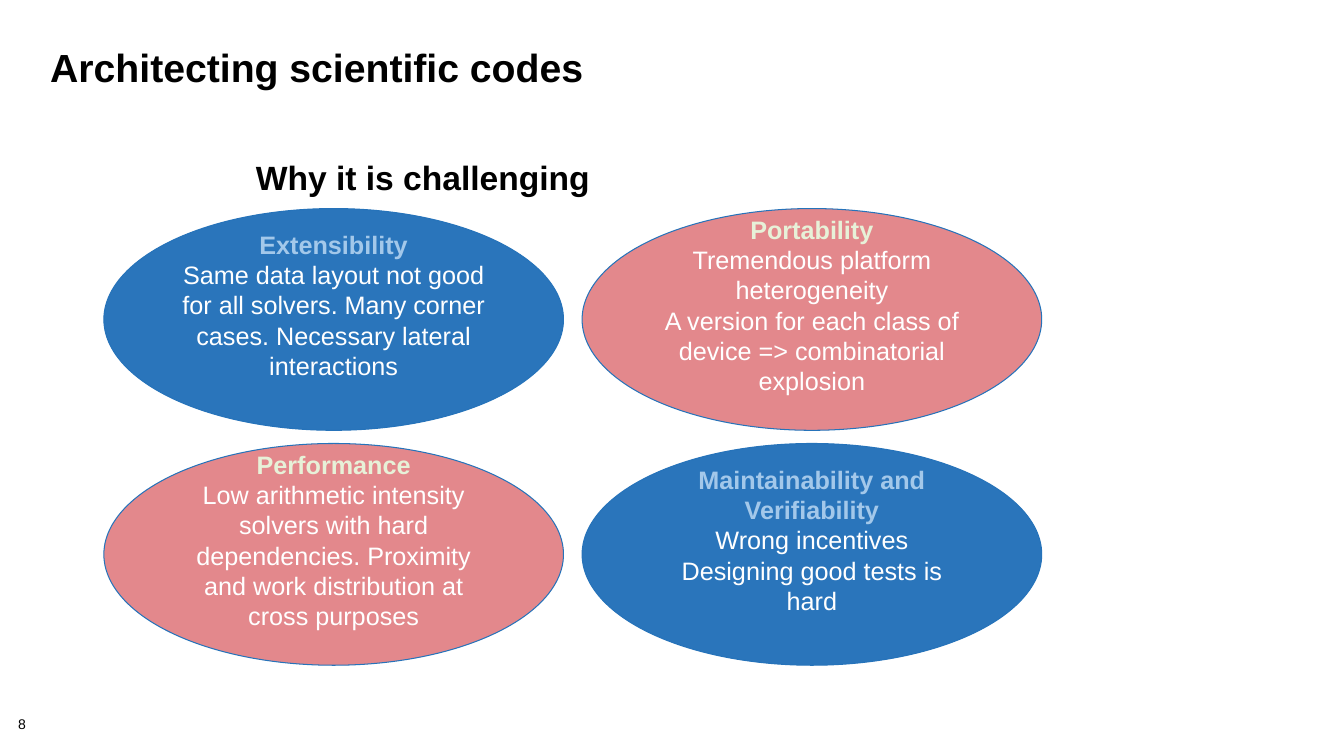
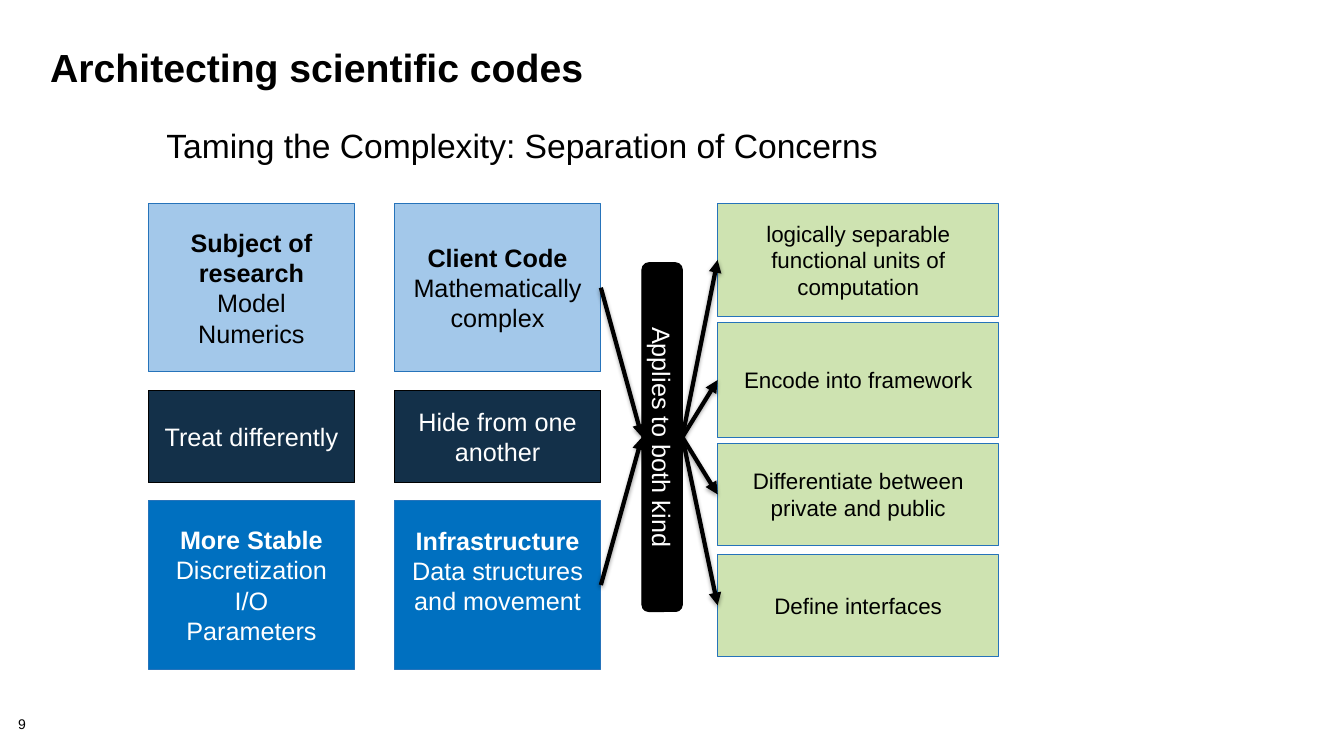
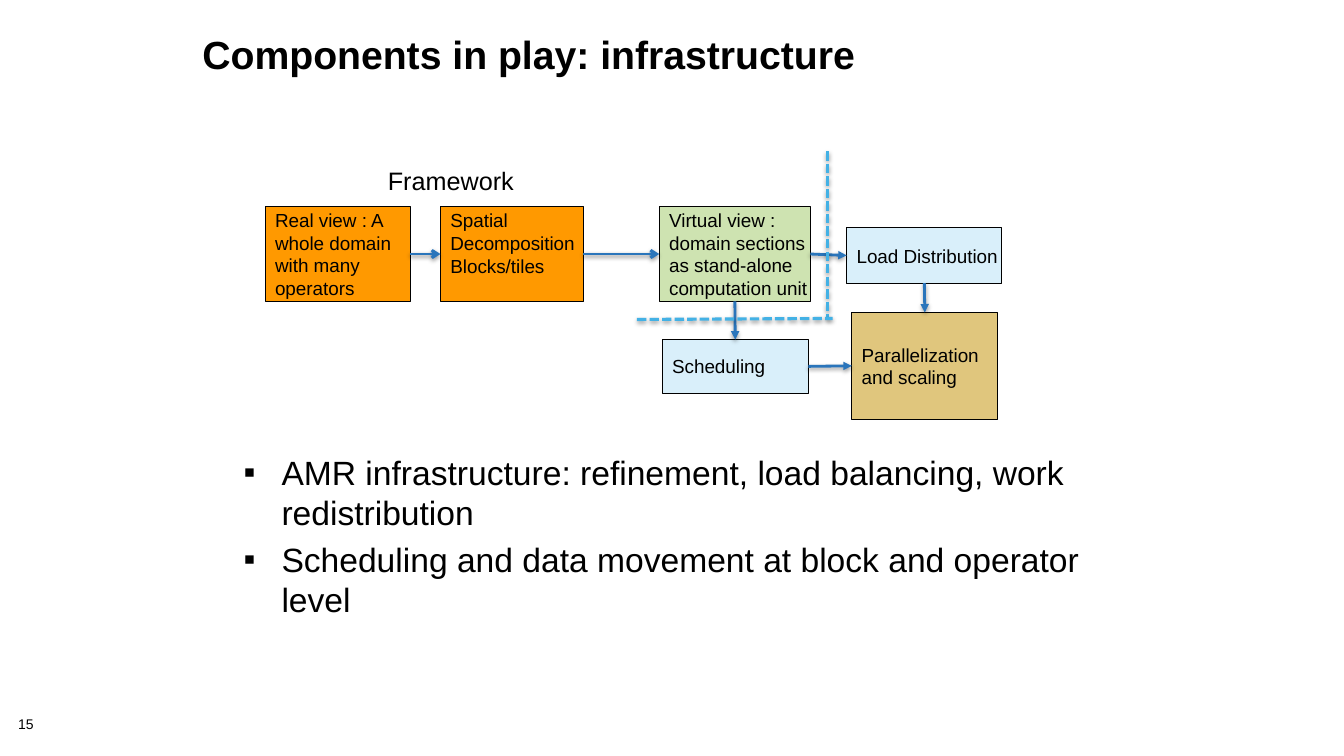
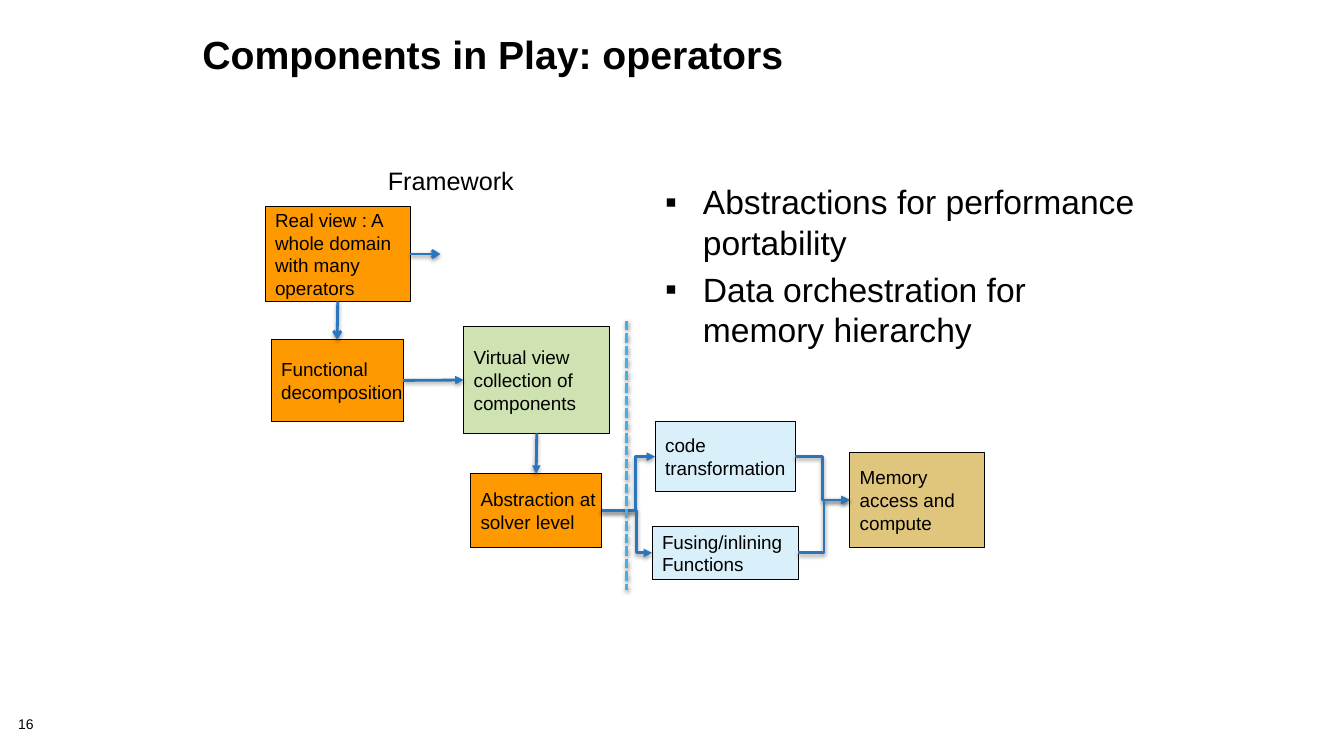
import pptx
import pptx.util
import pptx.dml.color
import pptx.enum.dml
import pptx.enum.shapes
import pptx.enum.text
import pptx.oxml
import pptx.oxml.ns
import lxml.etree

Pt = pptx.util.Pt
qn = pptx.oxml.ns.qn
KIND = pptx.enum.shapes.MSO_SHAPE
WIRE = pptx.enum.shapes.MSO_CONNECTOR
ALIGN = pptx.enum.text.PP_ALIGN
TOP, LEFT, BOTTOM, RIGHT = range(4)

FONT = "Arial"
BLACK, WHITE = "000000", "FFFFFF"
BLUE, EDGE, ROSE = "2A75BB", "2673BA", "E3888C"
SKY, LIME, DEEP, NAVY = "A3C8EA", "E7F1D8", "0070C0", "133049"
GREEN, ORANGE, PALE, SAND, DASH = "CEE3B1", "FF9900", "D9EFFA", "E0C67D", "43B1E5"

WIDE = (28.8, 32.4, 895.7, 72)
INSET = (137.5, 23, 684, 40.3)
LABEL = (270, 114.5, 105, 28.8)

OVALS = [
    ("Extensibility", ["Same data layout not good for all solvers. Many corner cases. "
                       "Necessary lateral interactions"]),
    ("Portability", ["Tremendous platform heterogeneity",
                     "A version for each class of device => combinatorial explosion"]),
    ("Performance", ["Low arithmetic intensity solvers with hard dependencies. "
                     "Proximity and work distribution at cross purposes"]),
    ("Maintainability and Verifiability", ["Wrong incentives",
                                           "Designing good tests is hard"]),
]

ROWS = [(120.2, SKY, EDGE, BLACK), (66.2, NAVY, BLACK, WHITE), (120.2, DEEP, EDGE, WHITE)]
STACKS = [
    [("Subject of research", ["Model", "Numerics"], 0),
     ("", ["Treat differently"], 0),
     ("More Stable", ["Discretization", "I/O", "Parameters"], 0)],
    [("Client Code", ["Mathematically complex"], 0),
     ("", ["Hide from one another"], 0),
     ("Infrastructure", ["Data structures and movement"], 20.7)],
]
STEPS = [
    ("logically separable functional units of computation", 145.4, 80.6),
    ("Encode into framework", 230.4, 82.1),
    ("Differentiate between private and public", 316.8, 72.7),
    ("Define interfaces", 396, 72.7),
]

REAL = (["Real view : A", "whole domain", "with many", "operators"],
        (189.4, 147.6, 103.7, 67.7), ORANGE, 0)
GRID = {
    "real": REAL,
    "tiles": (["Spatial", "Decomposition", "Blocks/tiles"],
              (314.6, 147.6, 102.2, 67.7), ORANGE, 15.5),
    "view": (["Virtual view :", "domain sections", "as stand-alone", "computation unit"],
             (470.9, 147.6, 108, 67.7), GREEN, 0),
    "load": (["Load Distribution"], (604.8, 162.7, 110.9, 39.6), PALE, 0),
    "plan": (["Scheduling"], (473, 242.6, 104.4, 38.2), PALE, 0),
    "scale": (["Parallelization", "and scaling"], (608.4, 223.2, 104.4, 76.3), SAND, 0),
}
FLOWS = [
    ("real", RIGHT, "tiles", LEFT, "arrow"),
    ("tiles", RIGHT, "view", LEFT, "arrow"),
    ("view", BOTTOM, "plan", TOP, "triangle"),
    ("view", RIGHT, "load", LEFT, "triangle"),
    ("load", BOTTOM, "scale", TOP, "triangle"),
    ("plan", RIGHT, "scale", LEFT, "triangle"),
]
CODE = {
    "real": REAL,
    "split": (["Functional", "decomposition"], (193.7, 242.6, 94.3, 58.3), ORANGE, 0),
    "view": (["Virtual view", "collection of", "components"],
             (331.2, 233.3, 104.4, 76.3), GREEN, 0),
    "solver": (["Abstraction at", "solver level"], (336.2, 338.4, 93.6, 52.6), ORANGE, 0),
    "change": (["code", "transformation"], (468, 301, 100.1, 50.4), PALE, 0),
    "fuse": (["Fusing/inlining", "Functions"], (465.8, 375.8, 104.4, 38.2), PALE, 0),
    "store": (["Memory", "access and", "compute"], (607, 323.3, 96.5, 67.7), SAND, 0),
}
PATHS = [
    ("real", BOTTOM, "split", TOP, "arrow"),
    ("split", RIGHT, "view", LEFT, "triangle"),
    ("view", BOTTOM, "solver", TOP, "triangle"),
]
BENDS = [("solver", "change", 0.63), ("solver", "fuse", 0.69),
         ("change", "store", 0.5), ("fuse", "store", 0.5)]


def tint(code):
    return pptx.dml.color.RGBColor.from_string(code)


def node(up, tag, **attrs):
    return lxml.etree.SubElement(up, qn(tag), attrs)


def write(frame, lines, size, align=ALIGN.LEFT, space=None, before=None):
    for i, (text, color, bold) in enumerate(lines):
        para = frame.paragraphs[0] if i == 0 else frame.add_paragraph()
        para.alignment = align
        if space:
            para.line_spacing = space
        if before:
            para.space_before = Pt(before)
        run = para.add_run()
        run.text = text
        run.font.name = FONT
        run.font.size = Pt(size)
        run.font.bold = bold
        run.font.color.rgb = tint(color)


def label(slide, rect, lines, size, bold=False, wrap=True, **style):
    box = slide.shapes.add_textbox(*map(Pt, rect))
    box.text_frame.word_wrap = wrap
    write(box.text_frame, [(text, BLACK, bold) for text in lines], size, **style)
    return box


def block(slide, kind, rect, fill, edge, lines, size, align=ALIGN.CENTER, wrap=True, pad=0):
    shape = slide.shapes.add_shape(kind, *map(Pt, rect))
    shape.shadow.inherit = False
    shape.fill.solid()
    shape.fill.fore_color.rgb = tint(fill)
    shape.line.color.rgb = tint(edge)
    shape.line.width = Pt(0.75)
    frame = shape.text_frame
    frame.word_wrap = wrap
    frame.vertical_anchor = pptx.enum.text.MSO_ANCHOR.MIDDLE
    frame.margin_bottom = Pt(3.6 + pad)
    write(frame, lines, size, align)
    return shape


def spot(shape, side):
    x, y, w, h = shape.left.pt, shape.top.pt, shape.width.pt, shape.height.pt
    return [(x + w / 2, y), (x, y + h / 2), (x + w / 2, y + h), (x + w, y + h / 2)][side]


def wire(slide, start, end, color, width, tail=None, kind=WIRE.STRAIGHT, dash=False):
    line = slide.shapes.add_connector(kind, *map(Pt, (*start, *end)))
    line.line.color.rgb = tint(color)
    line.line.width = Pt(width)
    if dash:
        line.line.dash_style = pptx.enum.dml.MSO_LINE.SQUARE_DOT
    props = line.element.find(qn("p:spPr"))
    if tail:
        node(props.find(qn("a:ln")), "a:tailEnd", type=tail)
    shade = node(node(props, "a:effectLst"), "a:outerShdw", blurRad=str(Pt(3.1)),
                 dist=str(Pt(1.6)), dir="5400000", rotWithShape="0")
    node(node(shade, "a:srgbClr", val=BLACK), "a:alpha", val="38000")
    return line


def link(slide, a, out, b, into, tail, color=BLUE, width=2):
    line = wire(slide, spot(a, out), spot(b, into), color, width, tail)
    line.begin_connect(a, out)
    line.end_connect(b, into)


def elbow(slide, a, b, bend):
    line = wire(slide, spot(a, RIGHT), spot(b, LEFT), BLUE, 2, "triangle", WIRE.ELBOW)
    shape = line.element.find(".//" + qn("a:prstGeom"))
    guides = shape.find(qn("a:avLst"))
    if guides is None:
        guides = node(shape, "a:avLst")
    node(guides, "a:gd", name="adj1", fmla=f"val {round(bend * 100000)}")


def bullets(slide, rect, lines):
    box = label(slide, rect, lines, 24, before=4.8)
    for props in box.element.iter(qn("a:pPr")):
        props.set("marL", str(Pt(27)))
        props.set("indent", str(Pt(-27)))
        node(props, "a:buFont", typeface=FONT)
        node(props, "a:buChar", char="▪")


def page(deck, title, rect, number):
    slide = deck.slides.add_slide(deck.slide_layouts[6])
    foot = label(slide, (13, 512.6, 40.3, 11.5), [number], 10, space=0.9).text_frame
    foot.margin_left = foot.margin_right = foot.margin_top = foot.margin_bottom = 0
    label(slide, rect, [title], 28, bold=True, space=0.85)
    return slide


def chart(slide, parts, flows):
    label(slide, LABEL, ["Framework"], 18, wrap=False)
    boxes = {}
    for name, (lines, rect, fill, pad) in parts.items():
        boxes[name] = block(slide, KIND.RECTANGLE, rect, fill, BLACK,
                            [(text, BLACK, False) for text in lines], 13.5,
                            ALIGN.LEFT, False, pad)
    for a, out, b, into, tail in flows:
        link(slide, boxes[a], out, boxes[b], into, tail)
    return boxes


def goals(deck):
    slide = page(deck, "Architecting scientific codes", WIDE, "8")
    for i, (head, body) in enumerate(OVALS):
        row, col = divmod(i, 2)
        fill, tone = (BLUE, SKY) if row == col else (ROSE, LIME)
        lines = [(head, tone, True)] + [(text, WHITE, False) for text in body]
        block(slide, KIND.OVAL, (74.2 + col * 341.6, 149 + row * 167.8, 328.3, 158.4),
              fill, EDGE, lines, 18, pad=20.7)
    label(slide, (175.7, 111.6, 530.6, 37.4), ["Why it is challenging"], 24,
          bold=True, space=0.9, before=14)


def layers(deck):
    slide = page(deck, "Architecting scientific codes", WIDE, "9")
    label(slide, (69.8, 88.6, 606.2, 50.4), ["Taming the Complexity: Separation of Concerns"],
          24, align=ALIGN.CENTER, space=0.9, before=14)
    for col, stack in enumerate(STACKS):
        y, cells = 145.4, []
        for (head, body, pad), (high, fill, edge, ink) in zip(stack, ROWS):
            lines = [(head, ink, True)] if head else []
            lines += [(text, ink, False) for text in body]
            cells.append(block(slide, KIND.RECTANGLE, (105.8 + col * 175.8, y, 147.6, high),
                               fill, edge, lines, 18, pad=pad))
            y += high + 13
    steps = [block(slide, KIND.RECTANGLE, (512.6, y, 200.9, high), GREEN, EDGE,
                   [(text, BLACK, False)], 16) for text, y, high in STEPS]
    bar = block(slide, KIND.ROUNDED_RECTANGLE, (458.6, 187.7, 28.8, 249.1), BLACK, BLACK,
                [("Applies to both kind", WHITE, False)], 18)
    bar.element.find(".//" + qn("a:bodyPr")).set("vert", "vert")
    for cell in (cells[0], cells[2]):
        link(slide, cell, RIGHT, bar, LEFT, "triangle", BLACK, 3)
    for step in steps:
        link(slide, bar, RIGHT, step, LEFT, "triangle", BLACK, 3)


def grids(deck):
    slide = page(deck, "Components in play: infrastructure", INSET, "15")
    chart(slide, GRID, FLOWS)
    wire(slide, (591.1, 108), (591.1, 227.5), DASH, 2.25, dash=True)
    wire(slide, (455, 228.2), (594.7, 227.5), DASH, 2.25, dash=True)
    bullets(slide, (167, 319, 612.7, 193),
            ["AMR infrastructure: refinement, load balancing, work redistribution",
             "Scheduling and data movement at block and operator level"])


def codes(deck):
    slide = page(deck, "Components in Play: operators", INSET, "16")
    boxes = chart(slide, CODE, PATHS)
    start = spot(boxes["real"], RIGHT)
    stub = wire(slide, start, (314.6, start[1]), BLUE, 2, "arrow")
    stub.begin_connect(boxes["real"], RIGHT)
    for a, b, bend in BENDS:
        elbow(slide, boxes[a], boxes[b], bend)
    wire(slide, (447.8, 229), (447.8, 421.2), DASH, 2.25, dash=True)
    bullets(slide, (468, 126, 352, 186.5),
            ["Abstractions for performance portability",
             "Data orchestration for memory hierarchy"])


def main():
    deck = pptx.Presentation()
    deck.slide_width, deck.slide_height = Pt(960), Pt(540)
    for build in (goals, layers, grids, codes):
        build(deck)
    deck.save("out.pptx")


if __name__ == "__main__":
    main()
